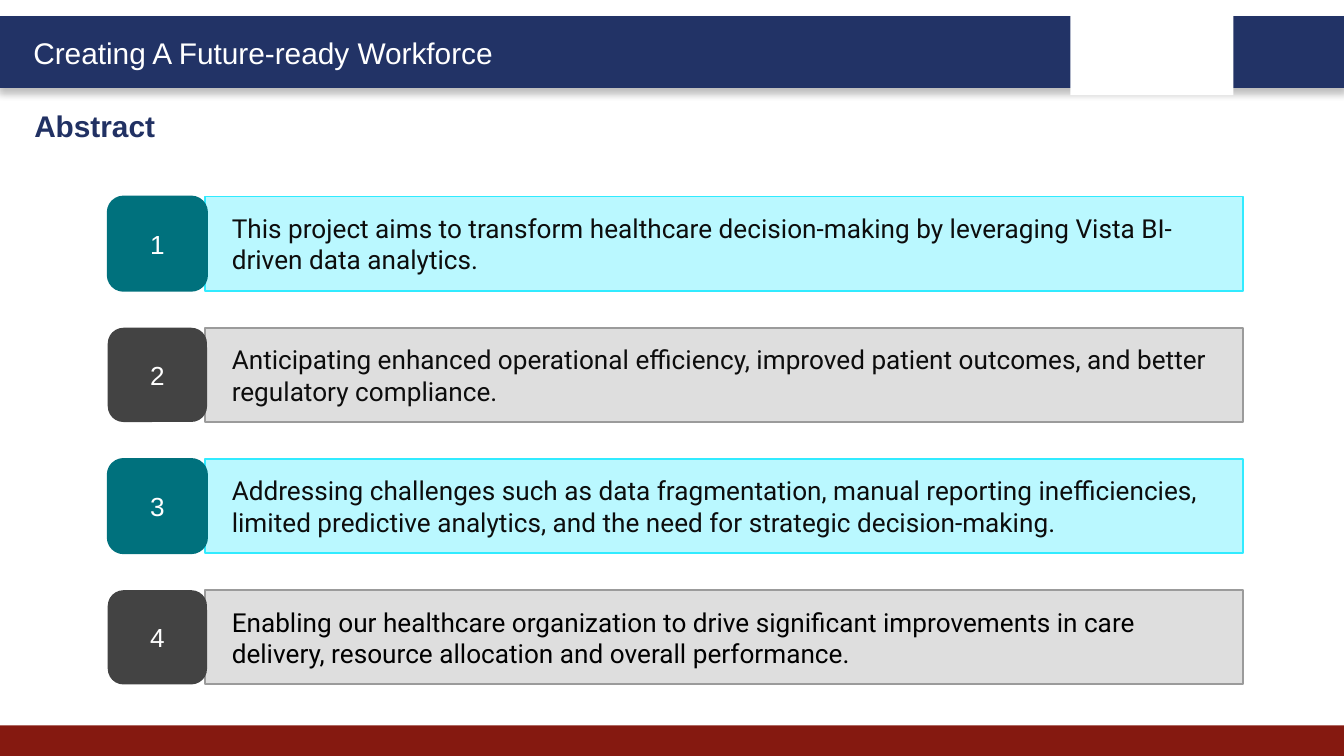
from lxml import etree
from pptx import Presentation
from pptx.dml.color import RGBColor
from pptx.enum.shapes import MSO_SHAPE
from pptx.enum.text import MSO_ANCHOR, PP_ALIGN
from pptx.oxml.ns import qn
from pptx.util import Pt

RECT, ROUNDED = MSO_SHAPE.RECTANGLE, MSO_SHAPE.ROUNDED_RECTANGLE
LEFT, CENTER = PP_ALIGN.LEFT, PP_ALIGN.CENTER
TOP, MIDDLE = MSO_ANCHOR.TOP, MSO_ANCHOR.MIDDLE

# Content
TITLE = "Creating A Future-ready Workforce"
HEADING = "Abstract"
POINTS = [
    "This project aims to transform healthcare decision-making by leveraging Vista BI-driven data analytics.",
    "Anticipating enhanced operational efficiency, improved patient outcomes, and better regulatory compliance.",
    "Addressing challenges such as data fragmentation, manual reporting inefficiencies, "
    "limited predictive analytics, and the need for strategic decision-making.",
    "Enabling our healthcare organization to drive significant improvements in care delivery, "
    "resource allocation and overall performance.",
]

THEME = {
    "navy": "223366", "heading": "213163", "red": "851910", "white": "FFFFFF",
    "ink": "0D0D0D", "black": "000000",
    "font": "Arial", "body_font": "Roboto", "title_size": 16, "body_size": 14,
    # Alternating rows: panel fill, panel line, badge fill, badge line
    "rows": [("BAF8FF", "31EBFF", "00717D", "00717D"),
             ("DEDEDE", "9B9B9B", "434343", None)],
}

# Layout, in points
WIDTH, HEIGHT = 720, 405
ROW_TOP, ROW_PITCH, ROW_HEIGHT = 105.3, 70.3, 50.5
BADGE_LEFT, BADGE_WIDTH = 57.7, 53.2
PANEL_LEFT, PANEL_WIDTH = 109.9, 556
PANEL_INDENT = 7.2

prs = Presentation()
prs.slide_width, prs.slide_height = Pt(WIDTH), Pt(HEIGHT)
slide = prs.slides.add_slide(prs.slide_layouts[6])


def add_box(kind, left, top, width, height, fill, line=None, line_width=1):
    box = slide.shapes.add_shape(kind, Pt(left), Pt(top), Pt(width), Pt(height))
    box.shadow.inherit = False
    box.fill.solid()
    box.fill.fore_color.rgb = RGBColor.from_string(fill)
    if line:
        box.line.color.rgb = RGBColor.from_string(line)
        box.line.width = Pt(line_width)
    else:
        box.line.fill.background()
    return box


def write(box, text, size=THEME["body_size"], font=THEME["font"], color=THEME["white"],
          bold=False, align=LEFT, anchor=MIDDLE, indent=0):
    frame = box.text_frame
    frame.word_wrap = True
    frame.vertical_anchor = anchor
    paragraph = frame.paragraphs[0]
    paragraph.alignment = align
    if indent:
        paragraph._p.get_or_add_pPr().set("marL", str(Pt(indent)))
    run = paragraph.add_run()
    run.text = text
    run.font.size, run.font.name, run.font.bold = Pt(size), font, bold
    run.font.color.rgb = RGBColor.from_string(color)


def add_shadow(box, color, opacity, blur, distance):
    effects = box._element.spPr.find(qn("a:effectLst"))
    shadow = etree.SubElement(effects, qn("a:outerShdw"), blurRad=str(Pt(blur)),
                              dist=str(Pt(distance)), dir="5400000", algn="t", rotWithShape="0")
    tint = etree.SubElement(shadow, qn("a:srgbClr"), val=color)
    etree.SubElement(tint, qn("a:alpha"), val=str(opacity * 1000))


# Header band, footer band and blank logo area
header = add_box(RECT, 0, 9.4, WIDTH, 36.7, THEME["navy"], THEME["navy"], 2)
add_shadow(header, THEME["black"], 25, 4, 3)
add_box(RECT, 0, 388.6, WIDTH, HEIGHT - 388.6, THEME["red"])
add_box(RECT, 573.5, 5, 87.3, 46, THEME["white"])

# Title and heading
for text, left, top, width, color, bold in [
    (TITLE, 10.8, 15.3, 272, THEME["white"], False),
    (HEADING, 11.3, 54, 348.5, THEME["heading"], True),
]:
    label = slide.shapes.add_textbox(Pt(left), Pt(top), Pt(width), Pt(26.6))
    write(label, text, size=THEME["title_size"], color=color, bold=bold, anchor=TOP)

# Numbered points
for index, point in enumerate(POINTS):
    panel_fill, panel_line, badge_fill, badge_line = THEME["rows"][index % 2]
    top = ROW_TOP + index * ROW_PITCH
    panel = add_box(RECT, PANEL_LEFT, top, PANEL_WIDTH, ROW_HEIGHT, panel_fill, panel_line)
    ink = THEME["black"] if index == len(POINTS) - 1 else THEME["ink"]
    write(panel, point, font=THEME["body_font"], color=ink, indent=PANEL_INDENT)
    badge = add_box(ROUNDED, BADGE_LEFT, top, BADGE_WIDTH, ROW_HEIGHT, badge_fill, badge_line)
    write(badge, str(index + 1), align=CENTER)

prs.save("out.pptx")
